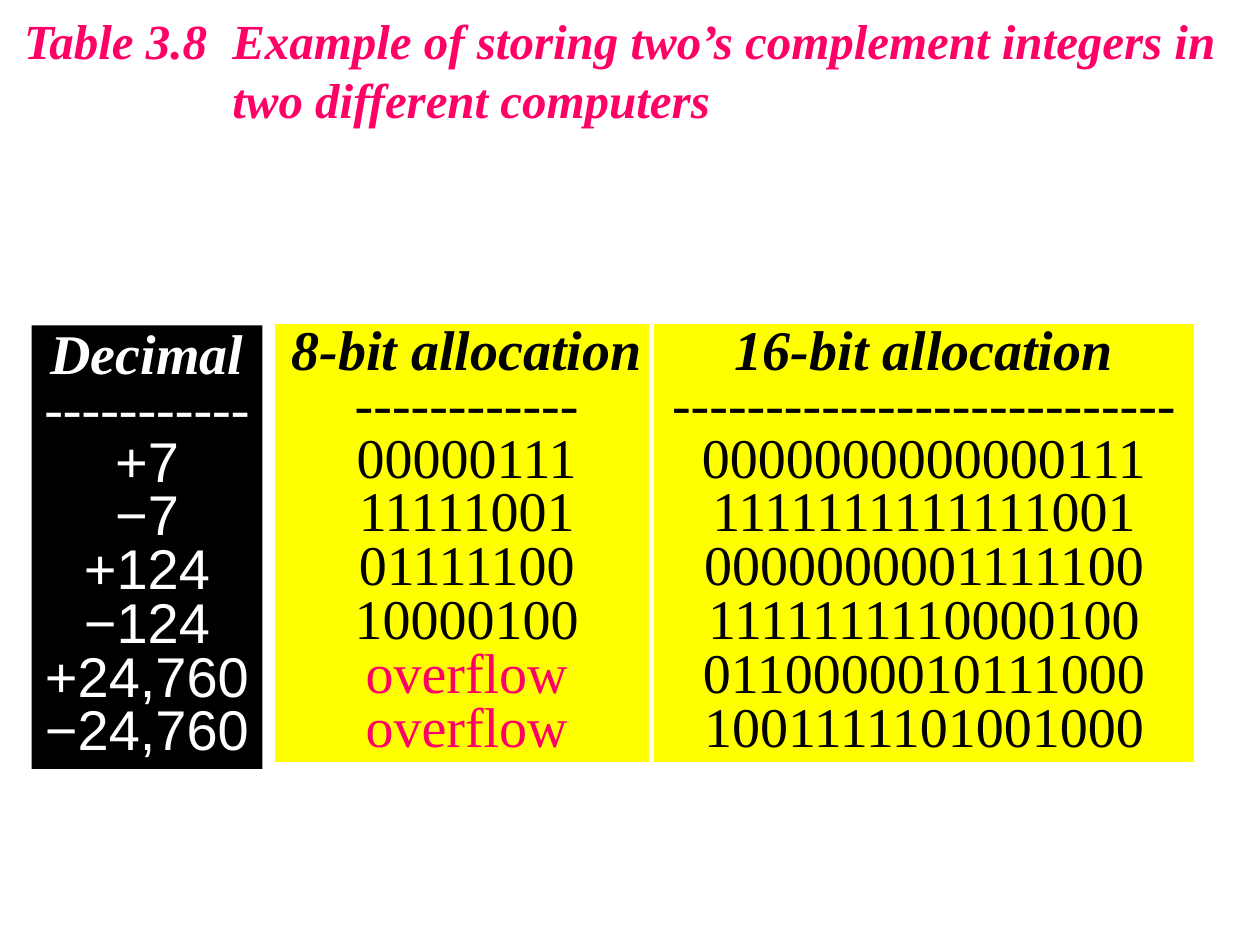
from pptx import Presentation
from pptx.dml.color import RGBColor
from pptx.enum.shapes import MSO_SHAPE
from pptx.enum.text import MSO_ANCHOR as Anchor, MSO_AUTO_SIZE as AutoSize, PP_ALIGN as Align
from pptx.util import Cm, Pt

PINK = RGBColor(0xFF, 0x00, 0x66)
BLACK = RGBColor(0x00, 0x00, 0x00)
WHITE = RGBColor(0xFF, 0xFF, 0xFF)
YELLOW = RGBColor(0xFF, 0xFF, 0x00)

TITLE = "Table 3.8\tExample of storing two’s complement integers in\vtwo different computers"
DECIMALS = ["+7", "−7", "+124", "−124", "+24,760", "−24,760"]
EIGHT_BIT = ["00000111", "11111001", "01111100", "10000100", "overflow", "overflow"]
SIXTEEN_BIT = ["0000000000000111", "1111111111111001", "0000000001111100",
               "1111111110000100", "0110000010111000", "1001111101001000"]


class TableSlide:
    serif = "Times New Roman"
    sans = "Arial"
    title_size = Pt(28)
    column_size = Pt(32)
    column_height = Cm(8.94)
    line_spacing = 0.8

    def __init__(self, presentation):
        self.slide = presentation.slides.add_slide(presentation.slide_layouts[5])

    def format_runs(self, paragraph, name, size, color, heading=False):
        for run in paragraph.runs:
            font = run.font
            font.name, font.size = name, size
            font.bold = font.italic = heading
            font.color.rgb = color

    def title(self, text, left, top, width, height, indent):
        shape = self.slide.shapes.title
        shape.left, shape.top, shape.width, shape.height = left, top, width, height
        frame = shape.text_frame
        frame.text = text
        frame.word_wrap = True
        frame.auto_size = AutoSize.NONE
        frame.vertical_anchor = Anchor.TOP
        paragraph = frame.paragraphs[0]
        paragraph.alignment = Align.LEFT
        # Hanging indent lines up the second line with the caption text
        properties = paragraph._p.get_or_add_pPr()
        properties.set("marL", str(indent))
        properties.set("indent", str(-indent))
        self.format_runs(paragraph, self.serif, self.title_size, PINK, heading=True)

    def column(self, lines, left, top, width, fill, color, value_font, outline=None):
        shape = self.slide.shapes.add_shape(
            MSO_SHAPE.RECTANGLE, left, top, width, self.column_height)
        shape.shadow.inherit = False
        shape.fill.solid()
        shape.fill.fore_color.rgb = fill
        if outline is None:
            shape.line.fill.background()
        else:
            shape.line.color.rgb = outline
            shape.line.width = Pt(3)
        frame = shape.text_frame
        frame.text = "\n".join(lines)
        frame.word_wrap = True
        frame.vertical_anchor = Anchor.TOP
        for paragraph, line in zip(frame.paragraphs, lines):
            paragraph.alignment = Align.CENTER
            paragraph.line_spacing = self.line_spacing
            name = self.serif if "--" in line else value_font
            text_color = PINK if line == "overflow" else color
            self.format_runs(paragraph, name, self.column_size, text_color)
        # Heading
        heading = frame.paragraphs[0].runs[0].font
        heading.name = self.serif
        heading.bold = heading.italic = True


def main():
    presentation = Presentation()
    presentation.slide_width, presentation.slide_height = Cm(25.4), Cm(19.05)
    table = TableSlide(presentation)

    # Caption
    table.title(TITLE, Cm(0.23), Cm(0.08), Cm(24.92), Cm(2.64), indent=Cm(4.2))

    # Decimal numbers
    table.column(["Decimal\v" + "-" * 11] + DECIMALS, Cm(0.64), Cm(6.56), Cm(4.65),
                 BLACK, WHITE, table.sans)

    # Stored bit patterns
    table.column(["8-bit allocation", "-" * 12] + EIGHT_BIT, Cm(5.5), Cm(6.48), Cm(7.82),
                 YELLOW, BLACK, table.serif, outline=WHITE)
    table.column(["16-bit allocation", "-" * 27] + SIXTEEN_BIT, Cm(13.13), Cm(6.48), Cm(11),
                 YELLOW, BLACK, table.serif, outline=WHITE)

    presentation.save("out.pptx")


if __name__ == "__main__":
    main()
